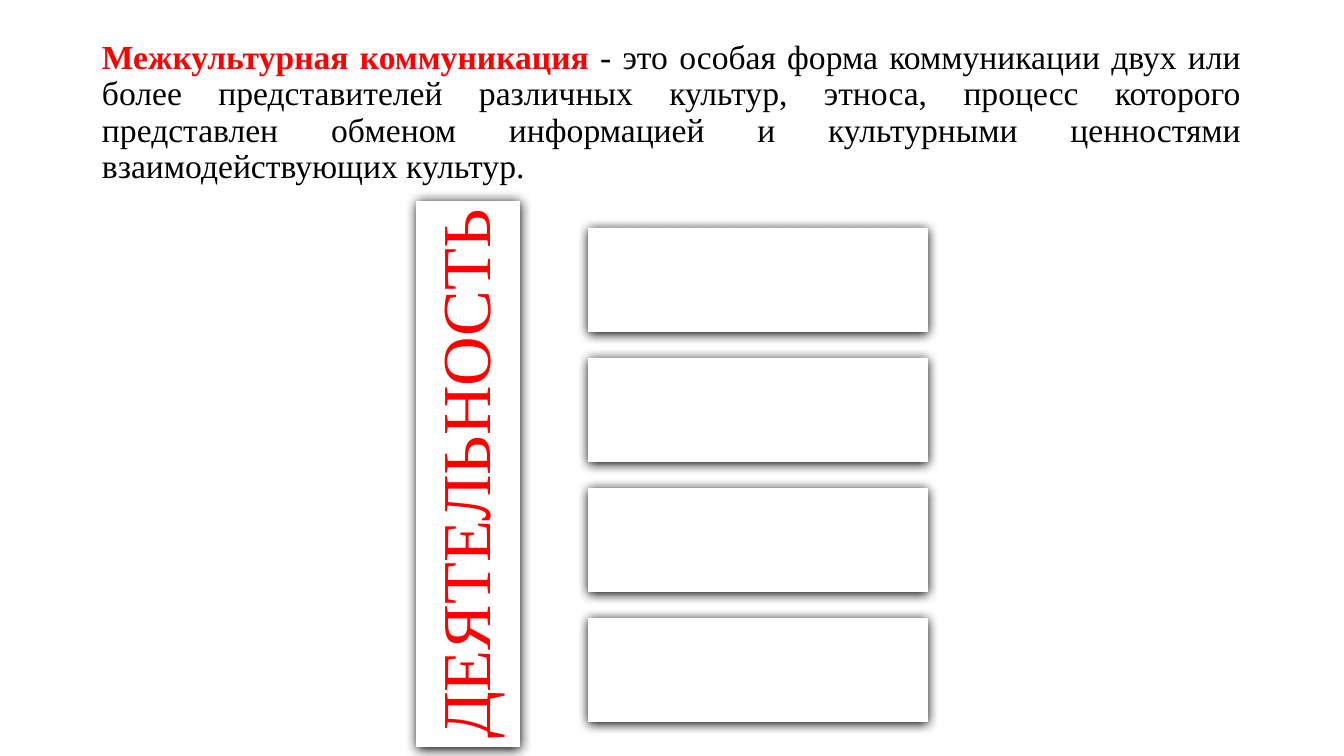
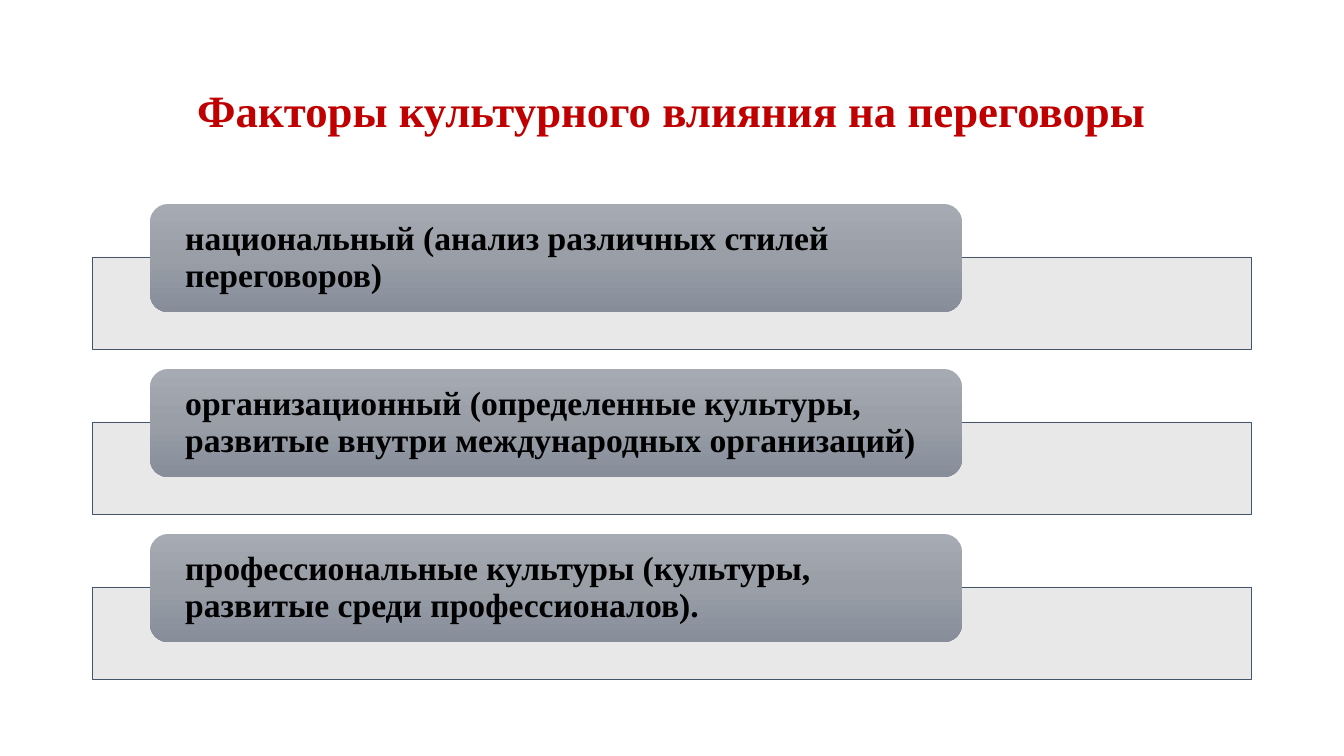
from copy import deepcopy

from lxml.etree import SubElement
from pptx import Presentation
from pptx.dml.color import RGBColor
from pptx.enum.shapes import MSO_SHAPE
from pptx.enum.text import MSO_ANCHOR, MSO_AUTO_SIZE, PP_ALIGN
from pptx.oxml.ns import qn
from pptx.util import Emu, Pt

SLIDE_WIDTH, SLIDE_HEIGHT = 1344, 756
EMU_PER_PX = 12192000 / SLIDE_WIDTH

RED = RGBColor(0xFF, 0x00, 0x00)
DARK_RED = RGBColor(0xC0, 0x00, 0x00)
BLACK = RGBColor(0x00, 0x00, 0x00)
WHITE = RGBColor(0xFF, 0xFF, 0xFF)
BAR_GRAY = RGBColor(0xE7, 0xE6, 0xE6)
BAR_LINE = RGBColor(0x44, 0x54, 0x6A)
PILL_GRADIENT = [
    (0, RGBColor(0xA5, 0xAA, 0xB3)),
    (0.5, RGBColor(0x99, 0x9E, 0xA7)),
    (1, RGBColor(0x87, 0x8E, 0x9A)),
]

FONT = "Times New Roman"
TITLE_BOX = (92, 40, 1159, 146)
SHADOW = {"blurRad": Pt(8.5), "dist": Pt(1), "dir": 5400000, "algn": "t", "rotWithShape": 0}


def write_text(shape, runs, size, alignment, insets=(10, 5)):
    """Fill the shape with one middle-anchored paragraph of (text, colour, bold) runs."""
    horizontal, vertical = (Emu(round(inset * EMU_PER_PX)) for inset in insets)
    frame_format = {
        "word_wrap": True,
        "auto_size": MSO_AUTO_SIZE.NONE,
        "vertical_anchor": MSO_ANCHOR.MIDDLE,
        "margin_left": horizontal,
        "margin_right": horizontal,
        "margin_top": vertical,
        "margin_bottom": vertical,
    }
    for name, value in frame_format.items():
        setattr(shape.text_frame, name, value)
    paragraph = shape.text_frame.paragraphs[0]
    paragraph.alignment = alignment
    paragraph.line_spacing = 0.9
    for text, color, bold in runs:
        run = paragraph.add_run()
        run.text = text
        for name, value in {"name": FONT, "size": Pt(size), "bold": bold}.items():
            setattr(run.font, name, value)
        run.font.color.rgb = color


def add_box(slide, kind, box, color=None):
    """Add a shape without line or shadow, filled if a colour is given."""
    shape = slide.shapes.add_shape(kind, *(Emu(round(length * EMU_PER_PX)) for length in box))
    shape.shadow.inherit = False
    shape.line.fill.background()
    if color is not None:
        shape.fill.solid()
        shape.fill.fore_color.rgb = color
    return shape


presentation = Presentation()
presentation.slide_width = Emu(round(SLIDE_WIDTH * EMU_PER_PX))
presentation.slide_height = Emu(round(SLIDE_HEIGHT * EMU_PER_PX))

# Titles
definition = [
    ("Межкультурная коммуникация", RED, True),
    (
        " - это особая форма коммуникации двух или более представителей различных культур, "
        "этноса, процесс которого представлен обменом информацией и культурными ценностями "
        "взаимодействующих культур.",
        BLACK,
        False,
    ),
]
heading = [("Факторы культурного влияния на переговоры", DARK_RED, True)]
slides = []
for runs, size, alignment in [(definition, 24, PP_ALIGN.JUSTIFY), (heading, 32, PP_ALIGN.CENTER)]:
    slide = presentation.slides.add_slide(presentation.slide_layouts[5])
    title = slide.shapes.title
    for name, length in zip(("left", "top", "width", "height"), TITLE_BOX):
        setattr(title, name, Emu(round(length * EMU_PER_PX)))
    write_text(title, runs, size, alignment)
    slides.append(slide)
activity_slide, factors_slide = slides

# Activity: an upright label beside four empty cards
label = add_box(activity_slide, MSO_SHAPE.RECTANGLE, (195, 422, 546, 104), WHITE)
label.rotation = 270
write_text(label, [("ДЕЯТЕЛЬНОСТЬ", RED, False)], 49, PP_ALIGN.CENTER, insets=(3, 3))
cards = [
    add_box(activity_slide, MSO_SHAPE.RECTANGLE, (588, 228 + 130 * row, 340, 104), WHITE)
    for row in range(4)
]
for shape in [label, *cards]:
    effects = shape._element.spPr.find(qn("a:effectLst"))
    shadow = SubElement(effects, qn("a:outerShdw"))
    for name, value in SHADOW.items():
        shadow.set(name, str(value))
    SubElement(shadow, qn("a:srgbClr"), val=str(BLACK))

# Factors: a rounded caption over each bar
factors = [
    "национальный (анализ различных стилей переговоров)",
    "организационный (определенные культуры, развитые внутри международных организаций)",
    "профессиональные культуры (культуры, развитые среди профессионалов).",
]
for row, factor in enumerate(factors):
    top = 204 + 165 * row
    bar = add_box(factors_slide, MSO_SHAPE.RECTANGLE, (92, top + 53, 1159, 92), BAR_GRAY)
    bar.line.color.rgb = BAR_LINE
    bar.line.width = Pt(0.5)
    bar_color = bar._element.spPr.find(qn("a:solidFill")).find(qn("a:srgbClr"))
    SubElement(bar_color, qn("a:alpha"), val="90000")

    pill = add_box(factors_slide, MSO_SHAPE.ROUNDED_RECTANGLE, (150, top, 812, 108))
    pill.fill.gradient()
    pill.fill.gradient_angle = 270
    stop_list = pill._element.spPr.find(qn("a:gradFill")).find(qn("a:gsLst"))
    stop_list.append(deepcopy(stop_list[0]))
    for stop, (position, color) in zip(pill.fill.gradient_stops, PILL_GRADIENT):
        stop.position = position
        stop.color.rgb = color
    write_text(pill, [(factor, BLACK, True)], 24, PP_ALIGN.LEFT, insets=(30, 0))

presentation.save("out.pptx")
